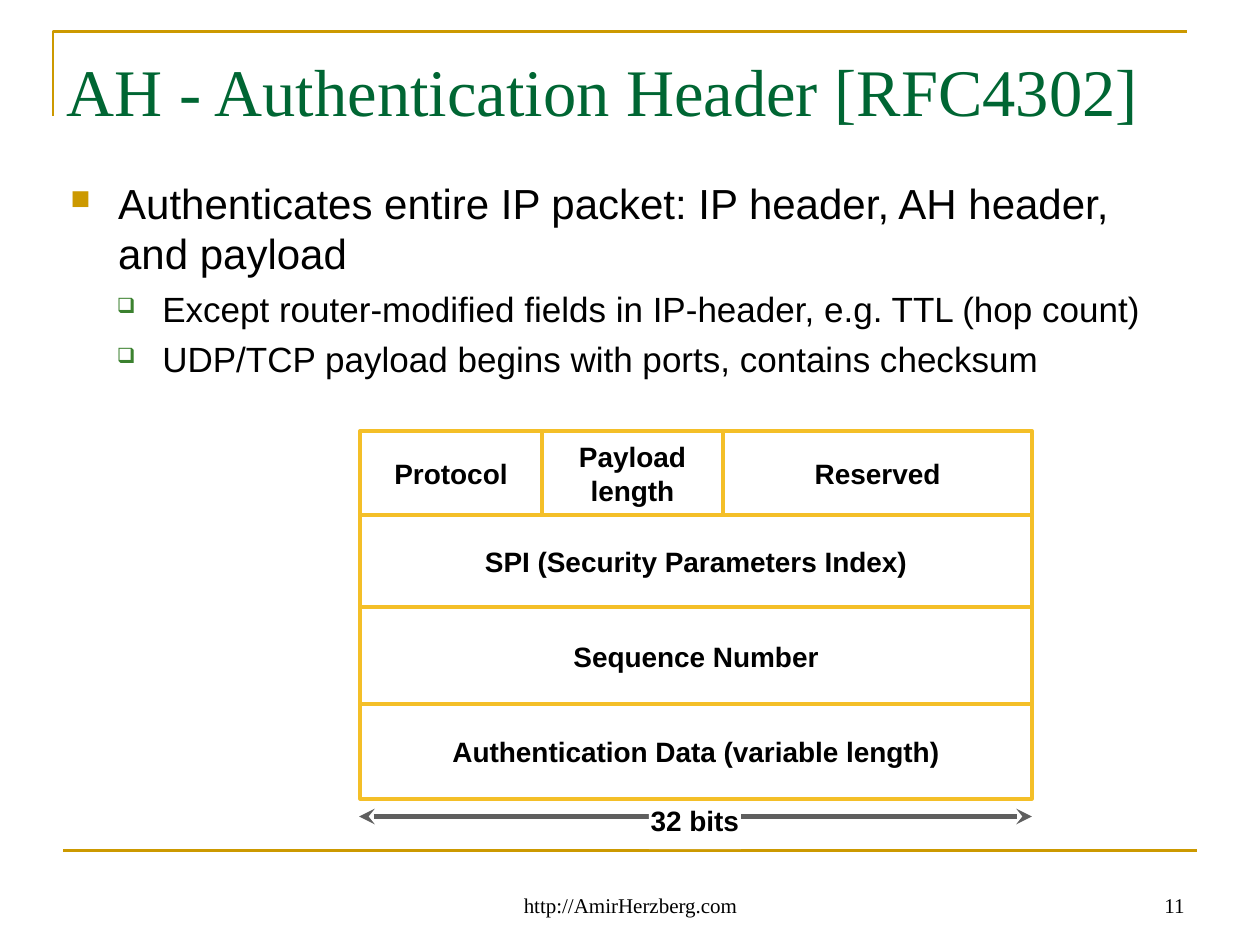
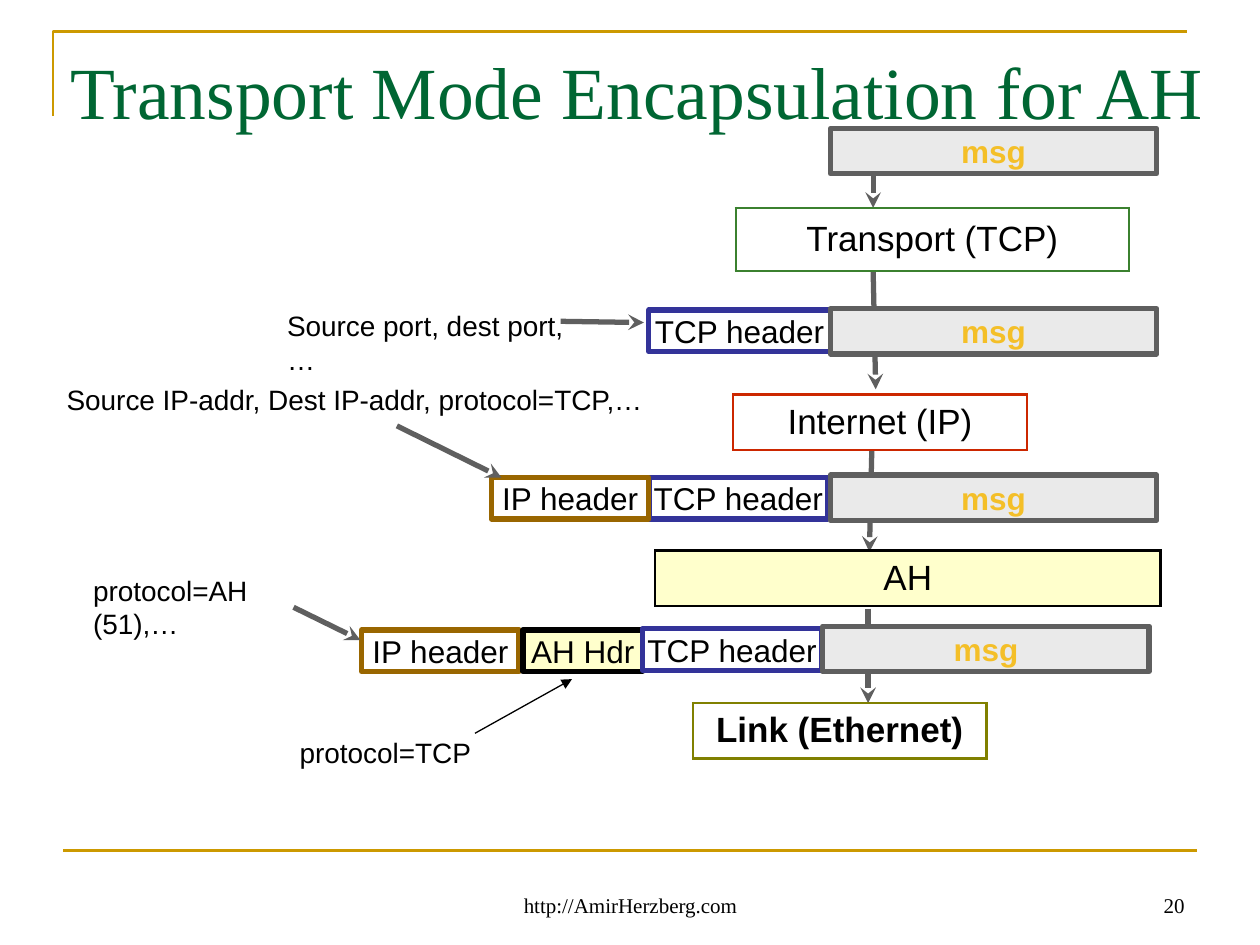
from lxml import etree
from pptx import Presentation
from pptx.dml.color import RGBColor
from pptx.enum.shapes import MSO_CONNECTOR, MSO_SHAPE
from pptx.enum.text import MSO_ANCHOR, PP_ALIGN
from pptx.oxml.ns import qn
from pptx.util import Inches, Pt

STRAIGHT = MSO_CONNECTOR.STRAIGHT
RECT = MSO_SHAPE.RECTANGLE
TOP, MIDDLE, BOTTOM = MSO_ANCHOR.TOP, MSO_ANCHOR.MIDDLE, MSO_ANCHOR.BOTTOM
LEFT, CENTER, RIGHT = PP_ALIGN.LEFT, PP_ALIGN.CENTER, PP_ALIGN.RIGHT

BLACK = RGBColor(0x00, 0x00, 0x00)
WHITE = RGBColor(0xFF, 0xFF, 0xFF)
GOLD = RGBColor(0xCC, 0x99, 0x00)
TITLE_GREEN = RGBColor(0x00, 0x66, 0x33)
GREEN = RGBColor(0x3B, 0x81, 0x2F)
YELLOW = RGBColor(0xF4, 0xBF, 0x28)
CREAM = RGBColor(0xFF, 0xFF, 0xCC)
GRAY = RGBColor(0x5F, 0x5F, 0x5F)
LIGHT_GRAY = RGBColor(0xEA, 0xEA, 0xEA)
BLUE = RGBColor(0x33, 0x33, 0x99)
BROWN = RGBColor(0x99, 0x66, 0x00)
RED = RGBColor(0xCC, 0x27, 0x00)
OLIVE = RGBColor(0x80, 0x80, 0x00)
SANS, SERIF = "Arial", "Times New Roman"


def add_text(s, x, y, w, h, text, size, fill=None, line=None, weight=3, color=BLACK,
             bold=False, font=SANS, align=CENTER, anchor=MIDDLE, wrap=False):
    area = [Inches(v) for v in (x, y, w, h)]
    if fill is None:
        sp = s.shapes.add_textbox(*area)
    else:
        sp = s.shapes.add_shape(RECT, *area)
        sp.shadow.inherit = False
        sp.fill.solid()
        sp.fill.fore_color.rgb = fill
        if line is None:
            sp.line.fill.background()
        else:
            sp.line.color.rgb = line
            sp.line.width = Pt(weight)
    tf = sp.text_frame
    tf.word_wrap = wrap
    tf.vertical_anchor = anchor
    tf.text = text
    for p in tf.paragraphs:
        p.alignment = align
        p.font.name = font
        p.font.size = Pt(size)
        p.font.bold = bold
        p.font.color.rgb = color
    return tf


def add_line(s, x1, y1, x2, y2, color=GRAY, weight=3, head=None, tail=None):
    cn = s.shapes.add_connector(STRAIGHT, Inches(x1), Inches(y1), Inches(x2), Inches(y2))
    cn.line.color.rgb = color
    cn.line.width = Pt(weight)
    ln = cn.line._get_or_add_ln()
    for tag, kind in (("a:headEnd", head), ("a:tailEnd", tail)):
        if kind:
            etree.SubElement(ln, qn(tag), type=kind)
    etree.SubElement(cn._element.spPr, qn("a:effectLst"))


prs = Presentation()
prs.slide_width, prs.slide_height = Inches(10), Inches(7.5)
slides = []
for title, size, x, w, number in (
    ("AH - Authentication Header [RFC4302]", 38, 0.43, 9.07, "11"),
    ("Transport Mode Encapsulation for AH", 42, 0.46, 9.54, "20"),
):
    s = prs.slides.add_slide(prs.slide_layouts[5])
    slides.append(s)
    fb = s.shapes.build_freeform(Inches(0.42), Inches(0.92))
    fb.add_line_segments([(Inches(0.42), Inches(0.25)), (Inches(9.42), Inches(0.25))], close=False)
    frame = fb.convert_to_shape()
    frame.shadow.inherit = False
    frame.fill.background()
    frame.line.color.rgb = GOLD
    frame.line.width = Pt(1.5)
    add_line(s, 0.5, 6.75, 9.5, 6.75, GOLD, 1.5)
    add_text(s, 3.42, 6.83, 3.17, 0.5, "http://AmirHerzberg.com", 12,
             font=SERIF, anchor=BOTTOM, wrap=True)
    add_text(s, 7.17, 6.83, 2.33, 0.5, number, 12,
             font=SERIF, align=RIGHT, anchor=BOTTOM, wrap=True)
    sp = s.shapes.title
    sp.left, sp.top, sp.width, sp.height = Inches(x), Inches(0.3), Inches(w), Inches(0.83)
    tf = sp.text_frame
    tf.text = title
    tf.vertical_anchor = MIDDLE
    p = tf.paragraphs[0]
    p.alignment = LEFT
    p.font.name = SERIF
    p.font.size = Pt(size)
    p.font.color.rgb = TITLE_GREEN

s = slides[0]
bullets = (
    ("Authenticates entire IP packet: IP header, AH header, and payload",
     24, 6, 0, 0.38, 0.38, "■", GOLD, 65),
    ("Except router-modified fields in IP-header, e.g. TTL (hop count)",
     20, 5, 1, 0.73, 0.36, "❑", GREEN, 60),
    ("UDP/TCP payload begins with ports, contains checksum",
     20, 5, 1, 0.73, 0.36, "❑", GREEN, 60),
)
tf = add_text(s, 0.46, 1.36, 8.96, 2.08, "\n".join(b[0] for b in bullets), 20,
              align=LEFT, anchor=TOP, wrap=True)
for p, (_, size, before, level, margin, hang, char, color, scale) in zip(tf.paragraphs, bullets):
    p.level = level
    p.font.size = Pt(size)
    p.space_before = Pt(before)
    pPr = p._p.get_or_add_pPr()
    pPr.set("marL", str(Inches(margin)))
    pPr.set("indent", str(-Inches(hang)))
    buClr = etree.Element(qn("a:buClr"))
    etree.SubElement(buClr, qn("a:srgbClr"), val=str(color))
    buSzPct = etree.Element(qn("a:buSzPct"), val=str(scale * 1000))
    buChar = etree.Element(qn("a:buChar"), char=char)
    at = pPr.index(pPr.find(qn("a:spcBef"))) + 1
    pPr[at:at] = [buClr, buSzPct, buChar]

add_line(s, 2.85, 6.48, 8.19, 6.48, head="stealth", tail="stealth")
add_text(s, 5.15, 6.28, 0.73, 0.46, "32 bits", 16, WHITE, bold=True)
y = 3.42
for height, fields in (
    (0.67, (("Protocol", 1.44), ("Payload\nlength", 1.44), ("Reserved", 2.45))),
    (0.73, (("SPI (Security Parameters Index)", 5.33),)),
    (0.77, (("Sequence Number", 5.33),)),
    (0.75, (("Authentication Data (variable length)", 5.33),)),
):
    x = 2.86
    for field, width in fields:
        add_text(s, x, y, width, height, field, 16, WHITE, YELLOW, 2.25, bold=True)
        x += width
    y += height

s = slides[1]
for flow in (
    (6.93, 1.09, 6.93, 1.65),
    (6.93, 2.16, 6.95, 3.09),
    (6.92, 3.55, 6.9, 4.38),
    (6.89, 4.83, 6.89, 5.58),
):
    add_line(s, *flow, tail="stealth")

for layer, x, y, w, h, fill, color, bold in (
    ("Transport (TCP)", 5.84, 1.65, 3.12, 0.5, WHITE, GREEN, False),
    ("Internet (IP)", 5.82, 3.13, 2.33, 0.44, WHITE, RED, False),
    ("AH", 5.2, 4.37, 4.01, 0.44, CREAM, BLACK, False),
    ("Link (Ethernet)", 5.5, 5.58, 2.33, 0.44, WHITE, OLIVE, True),
):
    table = s.shapes.add_table(1, 1, Inches(x), Inches(y), Inches(w), Inches(h)).table
    table.first_row = table.horz_banding = False
    cell = table.cell(0, 0)
    cell.vertical_anchor = MIDDLE
    cell.text = layer
    p = cell.text_frame.paragraphs[0]
    p.alignment = CENTER
    p.font.name = SANS
    p.font.size = Pt(20)
    p.font.bold = bold
    p.font.color.rgb = BLACK
    tcPr = cell._tc.get_or_add_tcPr()
    for side in ("a:lnL", "a:lnR", "a:lnT", "a:lnB"):
        ln = etree.SubElement(tcPr, qn(side), w=str(Pt(1.47)))
        etree.SubElement(etree.SubElement(ln, qn("a:solidFill")), qn("a:srgbClr"), val=str(color))
    cell.fill.solid()
    cell.fill.fore_color.rgb = fill

for header, x, y, w, fill, color in (
    ("TCP header", 5.15, 2.46, 1.44, WHITE, BLUE),
    ("TCP header", 5.15, 3.79, 1.42, WHITE, BLUE),
    ("IP header", 3.9, 3.79, 1.25, WHITE, BROWN),
    ("IP header", 2.87, 5, 1.25, WHITE, BROWN),
    ("AH Hdr", 4.15, 5, 0.95, CREAM, BLACK),
    ("TCP header", 5.1, 4.99, 1.42, WHITE, BLUE),
):
    add_text(s, x, y, w, 0.33, header, 18, fill, color)
for x, y in ((6.59, 1.02), (6.59, 2.45), (6.59, 3.77), (6.53, 4.97)):
    add_text(s, x, y, 2.59, 0.36, "msg", 18, LIGHT_GRAY, GRAY, color=YELLOW, bold=True)

for label, x, y, w in (
    ("Source port, dest port, …", 2.18, 2.4, 2.67),
    ("Source IP-addr, Dest IP-addr, protocol=TCP,…", 0.43, 2.99, 4.82),
    ("protocol=AH (51),…", 0.64, 4.5, 2.16),
    ("protocol=TCP", 2.28, 5.79, 1.56),
):
    add_text(s, x, y, w, 0.37, label, 16, align=LEFT, anchor=TOP)
for pointer in (
    (4.45, 2.55, 5.11, 2.56),
    (3.15, 3.38, 3.98, 3.79),
    (2.33, 4.82, 2.86, 5.08),
):
    add_line(s, *pointer, tail="stealth")
add_line(s, 3.77, 5.82, 4.54, 5.39, BLACK, 0.75, tail="triangle")

prs.save("out.pptx")
